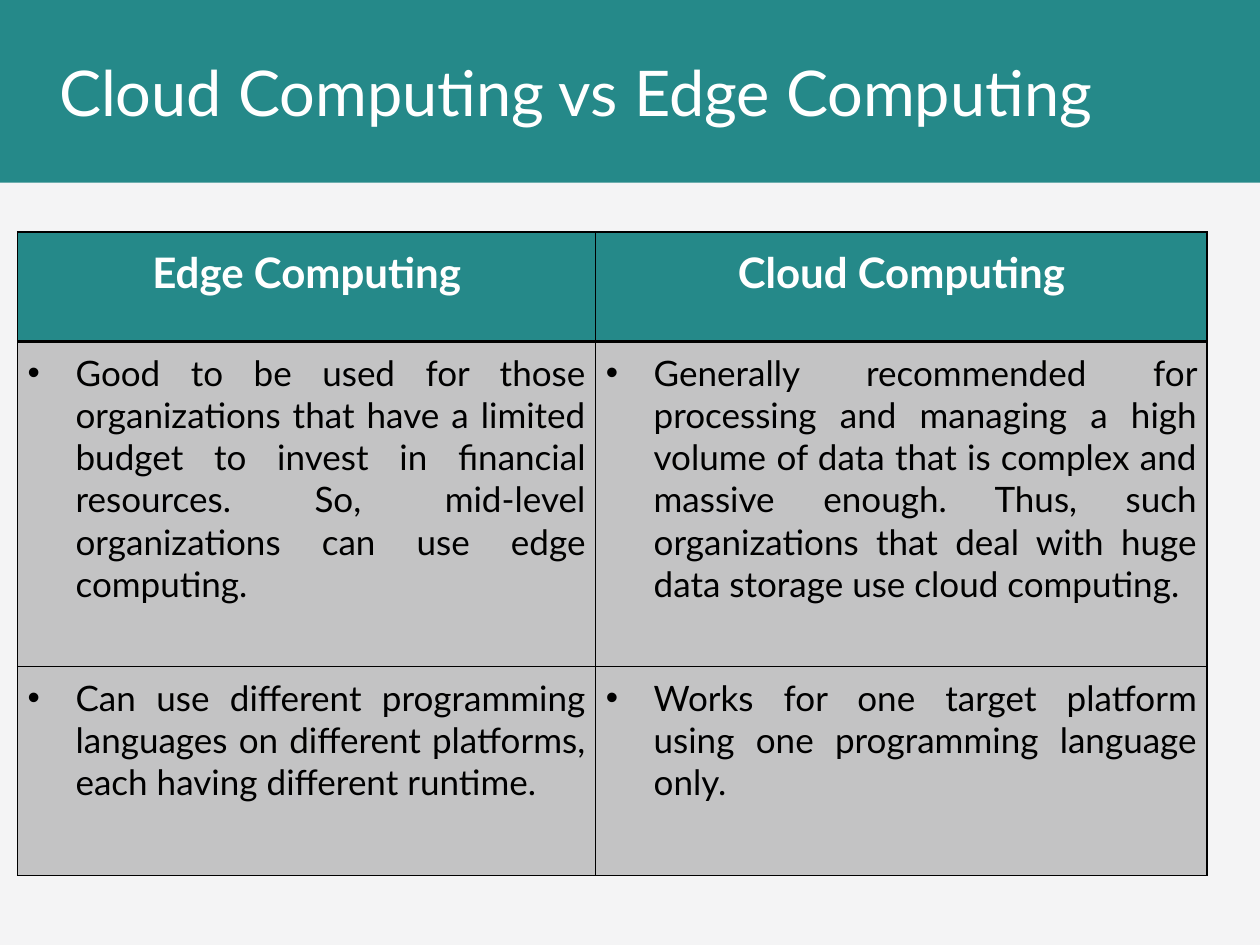
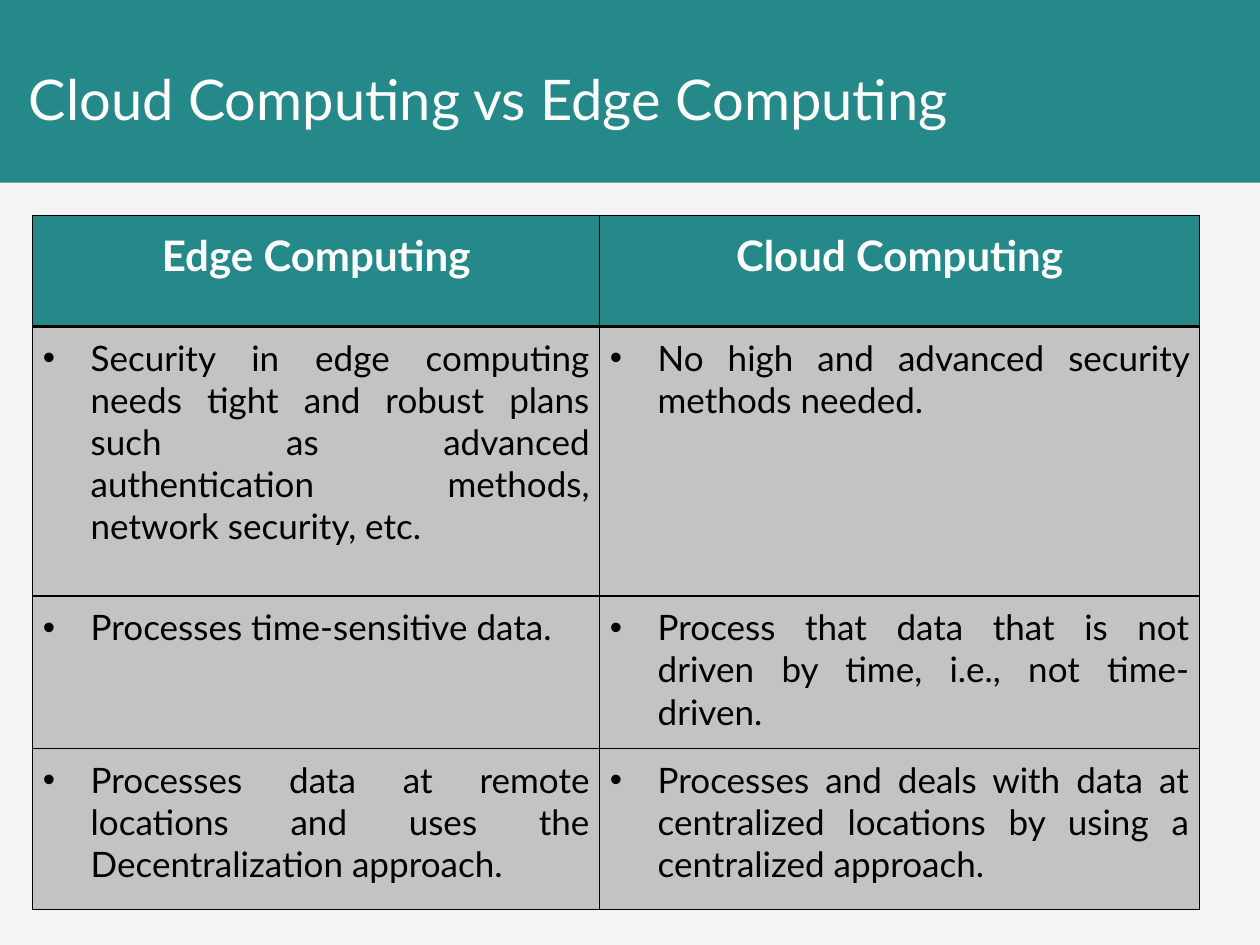
from lxml import etree
from pptx import Presentation
from pptx.dml.color import RGBColor
from pptx.enum.shapes import MSO_SHAPE
from pptx.enum.text import MSO_ANCHOR, PP_ALIGN
from pptx.oxml.ns import qn
from pptx.util import Inches, Pt

RECTANGLE = MSO_SHAPE.RECTANGLE
MIDDLE = MSO_ANCHOR.MIDDLE
LEFT, CENTER, JUSTIFY = PP_ALIGN.LEFT, PP_ALIGN.CENTER, PP_ALIGN.JUSTIFY

TEAL = RGBColor(0x25, 0x89, 0x89)
PALE = RGBColor(0xF4, 0xF4, 0xF5)
GRAY = RGBColor(0xC3, 0xC3, 0xC4)
WHITE = RGBColor(0xFF, 0xFF, 0xFF)
BLACK = RGBColor(0, 0, 0)

FONT = "Lato"
SLIDE_WIDTH, SLIDE_HEIGHT = Inches(10), Inches(7.5)
BAND_HEIGHT = Inches(1.45)
EDGE_SHARE = 0.486  # share of the table width taken by the first column
BULLET_INDENT = Inches(0.38)
HEADER_MARGIN, BODY_MARGIN = Inches(0.12), Inches(0.08)
THIN, THICK = Pt(1), Pt(2)

TITLE = "Cloud Computing vs Edge Computing"
HEADERS = ("Edge Computing", "Cloud Computing")
USE_ROWS = [
    ("Good to be used for those organizations that have a limited budget to invest "
     "in financial resources. So, mid-level organizations can use edge computing.",
     "Generally recommended for processing and managing a high volume of data that is "
     "complex and massive enough. Thus, such organizations that deal with huge data "
     "storage use cloud computing."),
    ("Can use different programming languages on different platforms, each having "
     "different runtime.",
     "Works for one target platform using one programming language only."),
]
DATA_ROWS = [
    ("Security in edge computing needs tight and robust plans such as advanced "
     "authentication methods, network security, etc.",
     "No high and advanced security methods needed."),
    ("Processes time-sensitive data.",
     "Process that data that is not driven by time, i.e., not time-driven."),
    ("Processes data at remote locations and uses the Decentralization approach.",
     "Processes and deals with data at centralized locations by using a centralized "
     "approach."),
]


def add_run(paragraph, text, size, color, bold=False):
    run = paragraph.add_run()
    run.text = text
    run.font.name = FONT
    run.font.size = Pt(size)
    run.font.bold = bold
    run.font.color.rgb = color


def add_bullet(paragraph):
    properties = paragraph._p.get_or_add_pPr()
    properties.set("marL", str(BULLET_INDENT))
    properties.set("indent", str(-BULLET_INDENT))
    etree.SubElement(properties, qn("a:buFont")).set("typeface", "Arial")
    etree.SubElement(properties, qn("a:buChar")).set("char", "•")


def set_borders(cell, top, bottom):
    """Draw black cell borders; must run before the cell gets its fill."""
    properties = cell._tc.get_or_add_tcPr()
    for side, width in (("L", THIN), ("R", THIN), ("T", top), ("B", bottom)):
        line = etree.SubElement(properties, qn(f"a:ln{side}"), w=str(width))
        fill = etree.SubElement(line, qn("a:solidFill"))
        etree.SubElement(fill, qn("a:srgbClr")).set("val", str(BLACK))


def fill_cell(cell, text, row_number):
    is_header = row_number == 0
    set_borders(cell, top=THICK if row_number == 1 else THIN,
                bottom=THICK if is_header else THIN)
    cell.fill.solid()
    cell.fill.fore_color.rgb = TEAL if is_header else GRAY
    margin = HEADER_MARGIN if is_header else BODY_MARGIN
    cell.margin_left = cell.margin_right = margin
    cell.margin_top = cell.margin_bottom = margin
    paragraph = cell.text_frame.paragraphs[0]
    if is_header:
        paragraph.alignment = CENTER
        add_run(paragraph, text, 24, WHITE, bold=True)
    else:
        paragraph.alignment = JUSTIFY
        add_bullet(paragraph)
        add_run(paragraph, text, 20, BLACK)


def add_comparison(slide, left, top, width, row_heights, body_rows):
    rows = [HEADERS] + body_rows
    table = slide.shapes.add_table(
        len(rows), len(HEADERS), Inches(left), Inches(top),
        Inches(width), Inches(sum(row_heights))).table
    table.horz_banding = False
    table.columns[0].width = Inches(width * EDGE_SHARE)
    table.columns[1].width = Inches(width * (1 - EDGE_SHARE))
    for row_number, (height, texts) in enumerate(zip(row_heights, rows)):
        table.rows[row_number].height = Inches(height)
        for column_number, text in enumerate(texts):
            fill_cell(table.cell(row_number, column_number), text, row_number)


def add_band(slide):
    band = slide.shapes.add_shape(RECTANGLE, 0, 0, SLIDE_WIDTH, BAND_HEIGHT)
    band.shadow.inherit = False
    band.fill.solid()
    band.fill.fore_color.rgb = TEAL
    band.line.fill.background()


def add_title(slide, left, width, size, alignment, line_spacing):
    box = slide.shapes.add_textbox(Inches(left), 0, Inches(width), BAND_HEIGHT)
    frame = box.text_frame
    frame.word_wrap = True
    frame.vertical_anchor = MIDDLE
    paragraph = frame.paragraphs[0]
    paragraph.alignment = alignment
    paragraph.line_spacing = line_spacing
    add_run(paragraph, TITLE, size, WHITE)


def add_base_slide(presentation):
    slide = presentation.slides.add_slide(presentation.slide_layouts[6])
    slide.background.fill.solid()
    slide.background.fill.fore_color.rgb = PALE
    add_band(slide)
    return slide


def main():
    presentation = Presentation()
    presentation.slide_width = SLIDE_WIDTH
    presentation.slide_height = SLIDE_HEIGHT

    use_slide = add_base_slide(presentation)
    add_comparison(use_slide, 0.14, 1.84, 9.44, (0.87, 2.58, 1.66), USE_ROWS)
    add_title(use_slide, 0.37, 8.62, 36, LEFT, 1.0)

    data_slide = add_base_slide(presentation)
    add_comparison(data_slide, 0.26, 1.71, 9.26, (0.88, 2.14, 1.21, 1.28), DATA_ROWS)
    add_title(data_slide, 0.13, 9.75, 32, JUSTIFY, 1.2)

    presentation.save("out.pptx")


if __name__ == "__main__":
    main()
